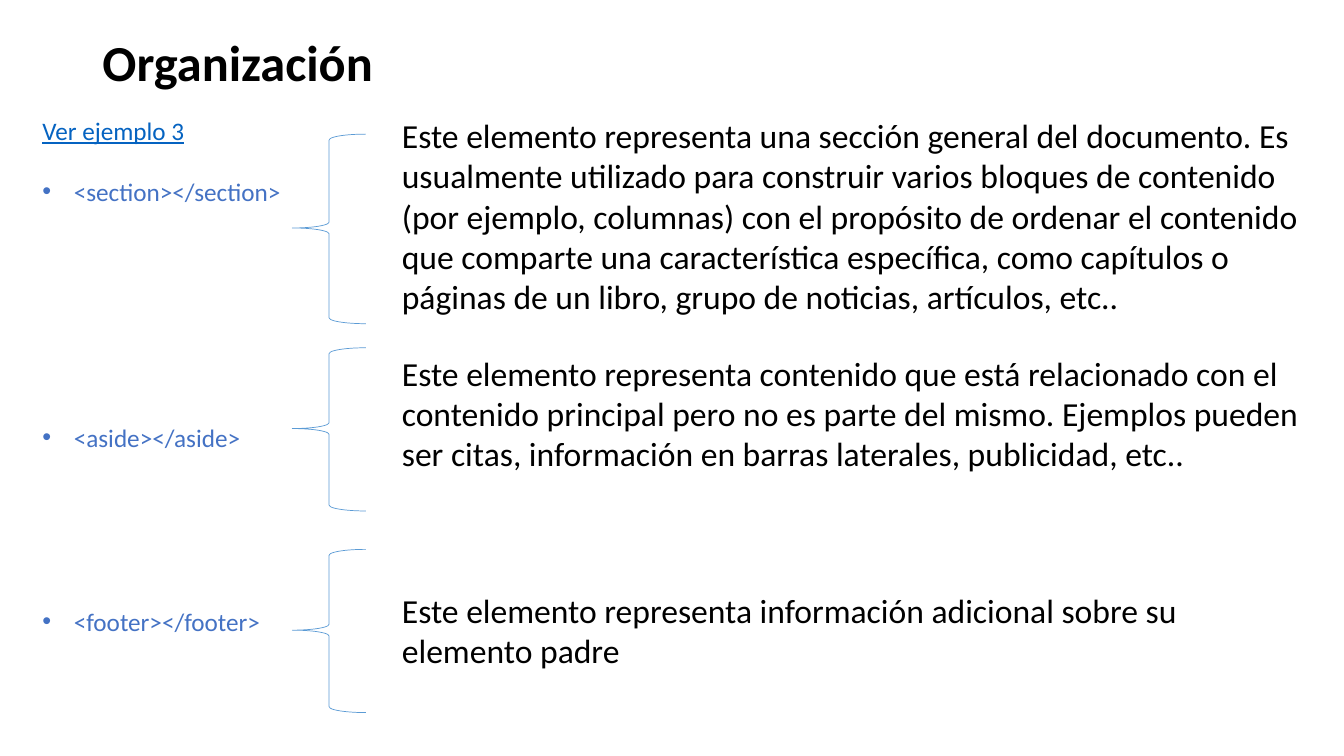
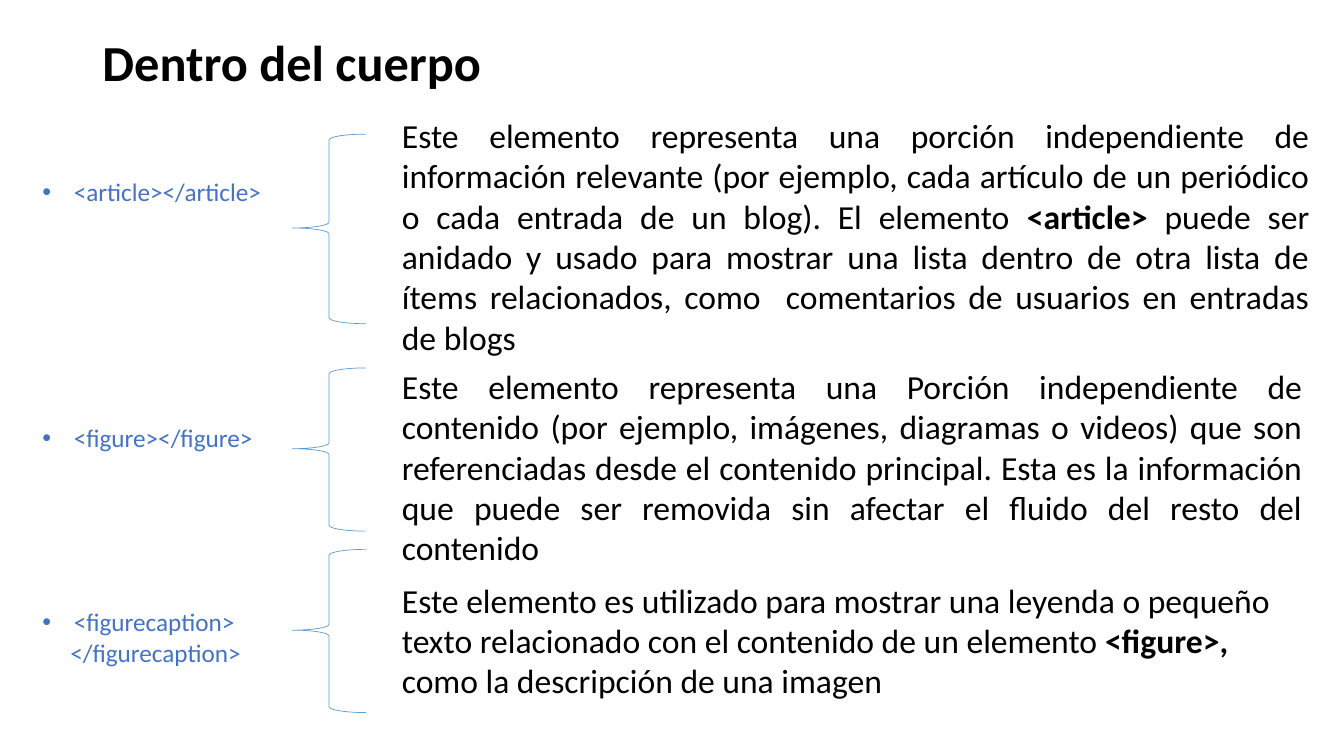
"""Build two slides that explain HTML structure elements with braces."""
from lxml.etree import SubElement
from pptx import Presentation
from pptx.dml.color import RGBColor
from pptx.enum.shapes import MSO_SHAPE as Shape
from pptx.enum.text import MSO_ANCHOR as Anchor, MSO_AUTO_SIZE as AutoSize, PP_ALIGN as Align
from pptx.oxml.ns import qn
from pptx.util import Pt

BLACK, TAG_BLUE, LINK_BLUE, BRACE_BLUE = "000000", "4472C4", "0563C1", "5B9BD5"
LIST_LINE = 22
BULLET_INDENT = 22.5
TOP = 78.5


def set_font(font, size, color, bold=False):
    font.name = "Calibri"
    font.size = Pt(size)
    font.bold = bold
    font.color.rgb = RGBColor.from_string(color)


def place(shape, left, top, width, height):
    shape.left, shape.top = Pt(left), Pt(top)
    shape.width, shape.height = Pt(width), Pt(height)


# Tag entries: text, empty lines above, left margin, bullet, colour.
# Description entries: brace top, brace height, text top, text height, width, alignment, text with *bold* parts.
SLIDES = [
    {
        "title": "Organización",
        "list_top": TOP,
        "list_height": 422,
        "tags": [
            ("Ver ejemplo 3", 0, 0, False, LINK_BLUE),
            ("<section></section>", 1, BULLET_INDENT, True, TAG_BLUE),
            ("<aside></aside>", 7, BULLET_INDENT, True, TAG_BLUE),
            ("<footer></footer>", 5, BULLET_INDENT, True, TAG_BLUE),
        ],
        "descriptions": [
            (95.8, 135.4, TOP, 152.6, 662.4, Align.LEFT,
             "Este elemento representa una sección general del documento. Es usualmente utilizado "
             "para construir varios bloques de contenido (por ejemplo, columnas) con el propósito "
             "de ordenar el contenido que comparte una característica específica, como capítulos o "
             "páginas de un libro, grupo de noticias, artículos, etc.."),
            (248.4, 116.6, 248.4, 94.3, 657.4, Align.LEFT,
             "Este elemento representa contenido que está relacionado con el contenido principal "
             "pero no es parte del mismo. Ejemplos pueden ser citas, información en barras "
             "laterales, publicidad, etc.."),
            (392.4, 116.6, 417.6, 65.5, 657.4, Align.LEFT,
             "Este elemento representa información adicional sobre su elemento padre"),
        ],
    },
    {
        "title": "Dentro del cuerpo",
        "list_top": TOP + 2 * LIST_LINE,
        "list_height": 399.5,
        "tags": [
            ("<article></article>", 0, BULLET_INDENT, True, TAG_BLUE),
            ("<figure></figure>", 7, BULLET_INDENT, True, TAG_BLUE),
            ("<figurecaption>", 5, BULLET_INDENT, True, TAG_BLUE),
            ("</figurecaption>", 0, 20, False, TAG_BLUE),
        ],
        "descriptions": [
            (95.8, 135.4, TOP, 181.4, 662.4, Align.JUSTIFY,
             "Este elemento representa una porción independiente de información relevante (por "
             "ejemplo, cada artículo de un periódico o cada entrada de un blog). El elemento "
             "*<article>* puede ser anidado y usado para mostrar una lista dentro de otra lista de "
             "ítems relacionados, como  comentarios de usuarios en entradas de blogs"),
            (262.8, 116.6, 257.8, 152.6, 657.4, Align.JUSTIFY,
             "Este elemento representa una Porción independiente de contenido (por ejemplo, "
             "imágenes, diagramas o videos) que son referenciadas desde el contenido principal. "
             "Esta es la información que puede ser removida sin afectar el fluido del resto del "
             "contenido"),
            (392.4, 116.6, 410.4, 94.3, 657.4, Align.LEFT,
             "Este elemento es utilizado para mostrar una leyenda o pequeño texto relacionado con "
             "el contenido de un elemento *<figure>, *como la descripción de una imagen"),
        ],
    },
]

presentation = Presentation()
presentation.slide_width, presentation.slide_height = Pt(960), Pt(540)

for content in SLIDES:
    slide = presentation.slides.add_slide(presentation.slide_layouts[1])

    title = slide.shapes.title
    place(title, 66, 15, 828, 63.5)
    title.text_frame.text = content["title"]
    title.text_frame.auto_size = AutoSize.NONE
    title.text_frame.vertical_anchor = Anchor.MIDDLE
    paragraph = title.text_frame.paragraphs[0]
    paragraph.alignment = Align.LEFT
    paragraph.line_spacing = 0.9
    set_font(paragraph.font, 36, BLACK, bold=True)

    tag_list = slide.placeholders[1]
    place(tag_list, 23, content["list_top"], 914.4, content["list_height"])
    frame = tag_list.text_frame
    frame.auto_size = AutoSize.NONE
    frame.vertical_anchor = Anchor.TOP
    frame.text = "\n".join(tag[0] for tag in content["tags"])
    for paragraph, tag in zip(frame.paragraphs, content["tags"]):
        text, empty_lines, margin, bullet, color = tag
        paragraph.space_before = Pt(empty_lines * LIST_LINE)
        properties = paragraph._p.get_or_add_pPr()
        properties.set("marL", str(Pt(margin)))
        properties.set("indent", str(Pt(-BULLET_INDENT if bullet else 0)))
        if not bullet:
            SubElement(properties, qn("a:buNone"))
        set_font(paragraph.font, 18, color)
        paragraph.font.underline = color == LINK_BLUE

    for brace_top, brace_height, top, height, width, alignment, text in content["descriptions"]:
        brace = slide.shapes.add_shape(
            Shape.LEFT_BRACE, Pt(208.8), Pt(brace_top), Pt(52.6), Pt(brace_height))
        brace.adjustments[0], brace.adjustments[1] = 0.08, 0.495
        brace.shadow.inherit = False
        brace.fill.background()
        brace.line.color.rgb = RGBColor.from_string(BRACE_BLUE)
        brace.line.width = Pt(0.5)

        description = slide.shapes.add_textbox(Pt(280), Pt(top), Pt(width), Pt(height))
        frame = description.text_frame
        frame.word_wrap = True
        frame.auto_size = AutoSize.SHAPE_TO_FIT_TEXT
        paragraph = frame.paragraphs[0]
        paragraph.alignment = alignment
        set_font(paragraph.font, 24, BLACK)
        for index, part in enumerate(text.split("*")):
            run = paragraph.add_run()
            run.text = part
            if index % 2:
                run.font.bold = True

presentation.save("out.pptx")
